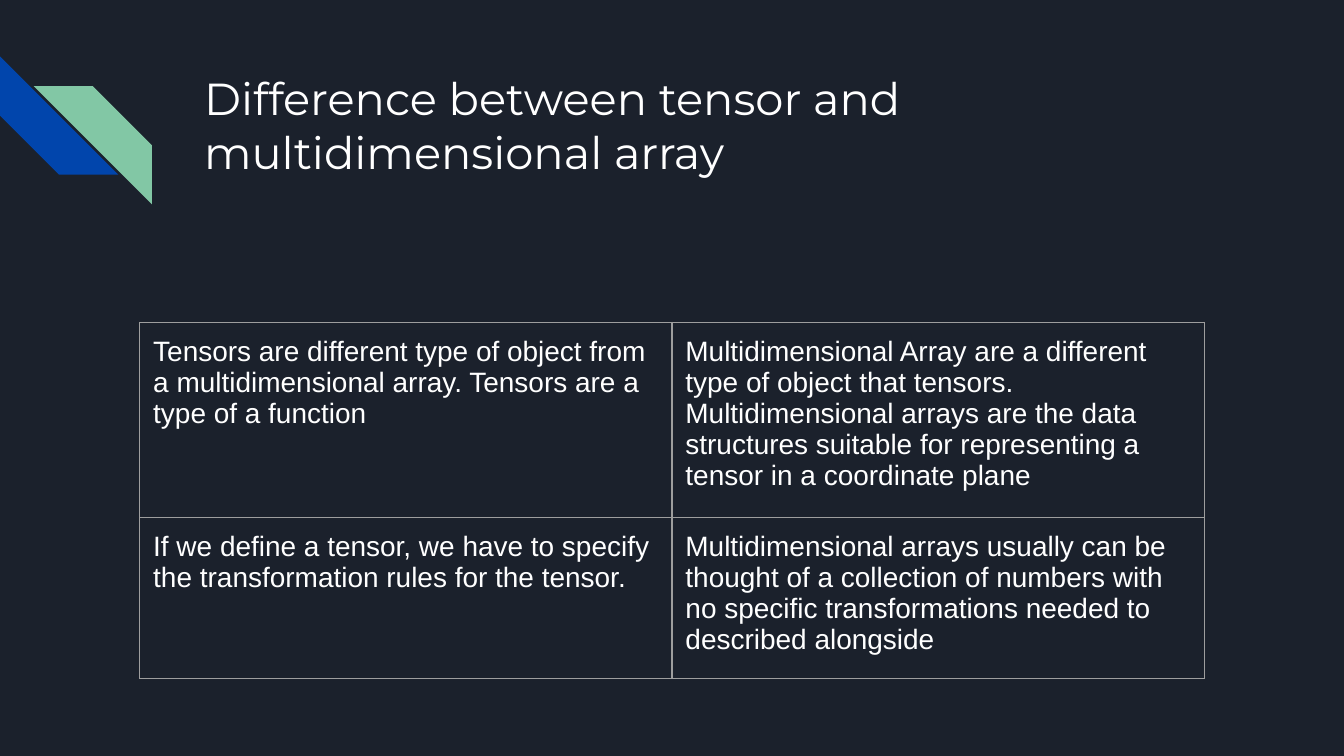
from lxml.etree import SubElement
from pptx import Presentation
from pptx.dml.color import RGBColor
from pptx.enum.shapes import MSO_SHAPE
from pptx.oxml.ns import qn
from pptx.util import Inches, Pt

WIDTH = 10
HEIGHT = WIDTH * 9 / 16
BACKGROUND, WHITE, BORDER = "1B212C", "FFFFFF", "9E9E9E"
BLUE, GREEN = "0145AC", "82C7A5"
INSET = 0.1

ROWS = [
    [
        "Tensors are different type of object from a multidimensional array. "
        "Tensors are a type of a function",
        "Multidimensional Array are a different type of object that tensors. "
        "Multidimensional arrays are the data structures suitable for "
        "representing a tensor in a coordinate plane",
    ],
    [
        "If we define a tensor, we have to specify the transformation rules "
        "for the tensor.",
        "Multidimensional arrays usually can be thought of a collection of "
        "numbers with no specific transformations needed to described alongside",
    ],
]
ROW_SHARES = [0.55, 0.45]


def rgb(value):
    return RGBColor.from_string(value)


def write(tf, text, font="Arial", size=15, color=WHITE):
    tf.word_wrap = True
    r = tf.paragraphs[0].add_run()
    r.text = text
    r.font.name = font
    r.font.size = Pt(size)
    r.font.color.rgb = rgb(color)


def set_insets(box):
    box.margin_left = box.margin_right = Inches(INSET)
    box.margin_top = box.margin_bottom = Inches(INSET)


def add_stripe(s, left, top, size, color):
    sp = s.shapes.add_shape(
        MSO_SHAPE.DIAGONAL_STRIPE, *map(Inches, (left, top, size, size))
    )
    sp.adjustments[0] = 0.5
    sp.shadow.inherit = False
    sp.fill.solid()
    sp.fill.fore_color.rgb = rgb(color)
    sp.line.fill.background()
    return sp


def add_ornament(s, left, top, width, height):
    size = 0.88
    blue = add_stripe(s, left, top, size, BLUE)
    blue.rotation = 270
    green = add_stripe(s, left + width - size, top + height - size, size, GREEN)
    green._element.spPr.get_or_add_xfrm().set("flipH", "1")


def add_title(s, left, top, width, height):
    tf = s.shapes.add_textbox(*map(Inches, (left, top, width, height))).text_frame
    set_insets(tf)
    write(
        tf,
        "Difference between tensor and multidimensional array",
        font="Montserrat",
        size=24,
    )


def set_borders(cell, color, width):
    tcPr = cell._tc.get_or_add_tcPr()
    for i, side in enumerate(("lnL", "lnR", "lnT", "lnB")):
        ln = SubElement(tcPr, qn(f"a:{side}"), w=str(Pt(width)))
        fill = SubElement(ln, qn("a:solidFill"))
        SubElement(fill, qn("a:srgbClr"), val=color)
        tcPr.insert(i, ln)


def add_comparison(s, left, top, width, height):
    table = s.shapes.add_table(
        len(ROWS), len(ROWS[0]), *map(Inches, (left, top, width, height))
    ).table
    table.first_row = table.horz_banding = False
    for row, texts, share in zip(table.rows, ROWS, ROW_SHARES):
        row.height = Inches(height * share)
        for cell, text in zip(row.cells, texts):
            set_insets(cell)
            cell.fill.background()
            set_borders(cell, BORDER, 0.75)
            write(cell.text_frame, text)


def main():
    prs = Presentation()
    prs.slide_width, prs.slide_height = Inches(WIDTH), Inches(HEIGHT)
    s = prs.slides.add_slide(prs.slide_layouts[6])
    s.background.fill.solid()
    s.background.fill.fore_color.rgb = rgb(BACKGROUND)
    add_ornament(s, 0, 0.42, 1.13, 1.1)
    add_title(s, 1.42, 0.43, 7.7, 1)
    add_comparison(s, 1.04, 2.4, 7.92, 2.48)
    prs.save("out.pptx")


if __name__ == "__main__":
    main()
